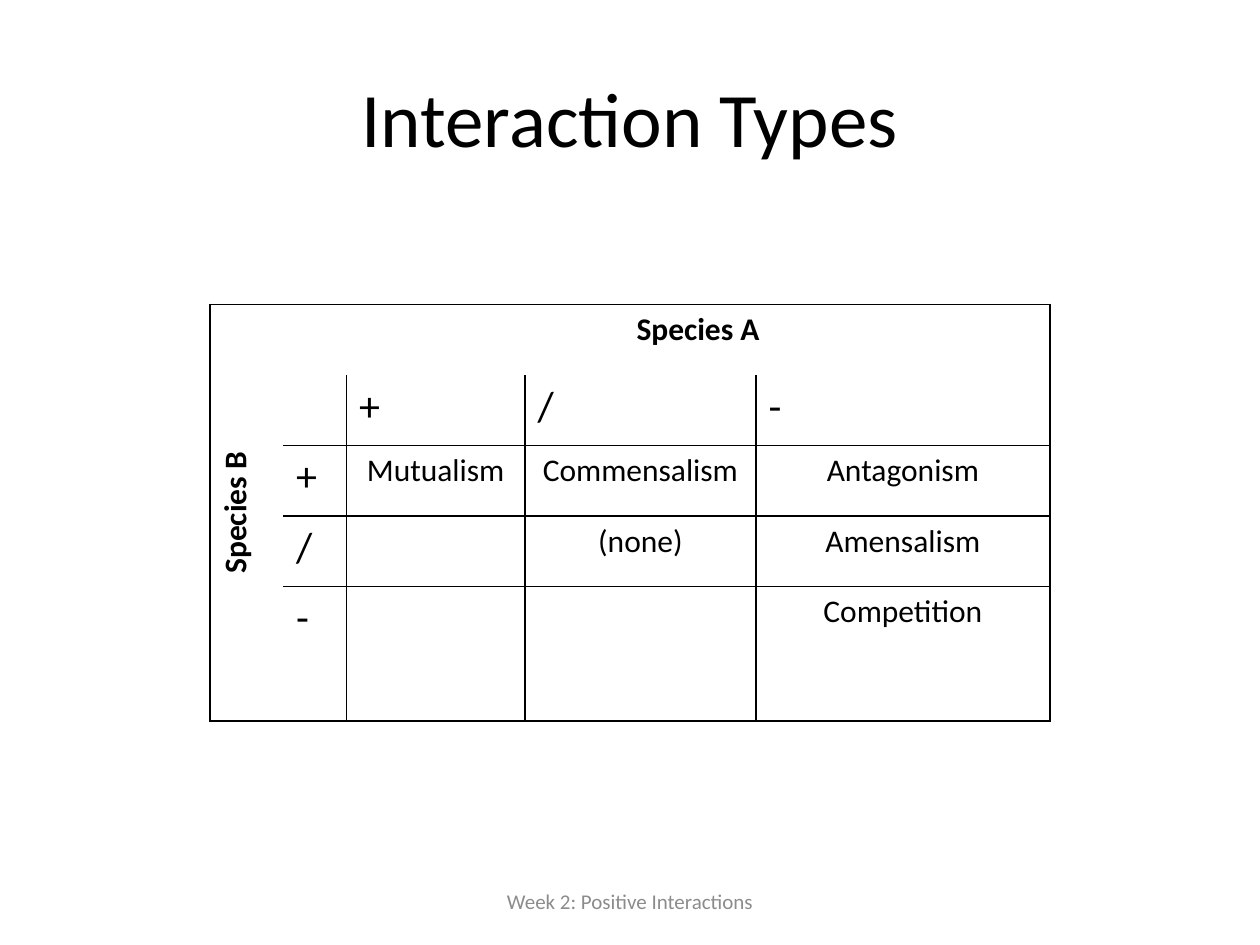
from dataclasses import dataclass

from lxml import etree
from pptx import Presentation
from pptx.dml.color import RGBColor
from pptx.enum.text import MSO_ANCHOR, PP_ALIGN
from pptx.oxml.ns import qn
from pptx.util import Pt

MIDDLE = MSO_ANCHOR.MIDDLE
LEFT, CENTER = PP_ALIGN.LEFT, PP_ALIGN.CENTER
BLACK = RGBColor(0x00, 0x00, 0x00)
GRAY = RGBColor(0x8C, 0x8C, 0x8C)
FONT = "Calibri"
COLUMN_WIDTHS = (42, 36, 102, 132, 168)
ROW_HEIGHTS = (40.3, 40.3, 40.3, 40.3, 76.8)
LAST_ROW, LAST_COLUMN = len(ROW_HEIGHTS) - 1, len(COLUMN_WIDTHS) - 1
EFFECTS = ("+", "/", "-")


@dataclass
class TextStyle:
    size: float
    alignment: PP_ALIGN = CENTER
    bold: bool = False
    color: RGBColor = BLACK


@dataclass
class Label:
    text: str
    left: float
    top: float
    width: float
    height: float
    style: TextStyle


@dataclass
class Entry:
    row: int
    column: int
    text: str
    style: TextStyle


HEADING = TextStyle(18, bold=True)
EFFECT = TextStyle(24, LEFT)
INTERACTION = TextStyle(18)

LABELS = (
    Label("Interaction Types", 36, 21.6, 648, 90, TextStyle(44)),
    Label("Week 2: Positive Interactions", 246, 500.4, 228, 28.8, TextStyle(12, color=GRAY)),
)
ENTRIES = (
    Entry(0, 0, "Species B", HEADING),
    Entry(0, 2, "Species A", HEADING),
    *(Entry(1, 2 + index, effect, EFFECT) for index, effect in enumerate(EFFECTS)),
    *(Entry(2 + index, 1, effect, EFFECT) for index, effect in enumerate(EFFECTS)),
    Entry(2, 2, "Mutualism", INTERACTION),
    Entry(2, 3, "Commensalism", INTERACTION),
    Entry(2, 4, "Antagonism", INTERACTION),
    Entry(3, 3, "(none)", INTERACTION),
    Entry(3, 4, "Amensalism", INTERACTION),
    Entry(4, 4, "Competition", INTERACTION),
)


def write_text(text_frame, text: str, style: TextStyle) -> None:
    text_frame.text = text
    paragraph = text_frame.paragraphs[0]
    paragraph.alignment = style.alignment
    font = paragraph.runs[0].font
    font.name, font.size, font.bold = FONT, Pt(style.size), style.bold
    font.color.rgb = style.color


def add_label(slide, label: Label) -> None:
    shape = slide.shapes.add_textbox(
        Pt(label.left), Pt(label.top), Pt(label.width), Pt(label.height))
    shape.text_frame.word_wrap = True
    shape.text_frame.vertical_anchor = MIDDLE
    write_text(shape.text_frame, label.text, label.style)


def set_borders(cell, row: int, column: int) -> None:
    """Rule the outer frame and the inner grid, leaving the species headings open."""
    right = column + cell.span_width - 1
    bottom = row + cell.span_height - 1
    edges = {
        "a:lnL": column == 0 or (column >= 2 and row >= 1),
        "a:lnR": right == LAST_COLUMN or (column >= 1 and row >= 1),
        "a:lnT": row == 0 or (row >= 2 and column >= 1),
        "a:lnB": bottom == LAST_ROW or (row >= 1 and column >= 1),
    }
    properties = cell._tc.get_or_add_tcPr()
    for position, (tag, visible) in enumerate(edges.items()):
        line = etree.Element(qn(tag), w=str(Pt(1)))
        if visible:
            fill = etree.SubElement(line, qn("a:solidFill"))
            etree.SubElement(fill, qn("a:srgbClr"), val=str(BLACK))
        else:
            etree.SubElement(line, qn("a:noFill"))
        properties.insert(position, line)


def add_interaction_table(slide) -> None:
    table = slide.shapes.add_table(
        len(ROW_HEIGHTS), len(COLUMN_WIDTHS), Pt(120), Pt(174),
        Pt(sum(COLUMN_WIDTHS)), Pt(sum(ROW_HEIGHTS))).table
    table.first_row = table.horz_banding = False
    for column, width in zip(table.columns, COLUMN_WIDTHS):
        column.width = Pt(width)
    for row, height in zip(table.rows, ROW_HEIGHTS):
        row.height = Pt(height)

    species_b = table.cell(0, 0)
    species_b.merge(table.cell(LAST_ROW, 0))
    species_b._tc.get_or_add_tcPr().set("vert", "vert270")
    table.cell(0, 2).merge(table.cell(0, LAST_COLUMN))

    for row in range(len(ROW_HEIGHTS)):
        for column in range(len(COLUMN_WIDTHS)):
            cell = table.cell(row, column)
            cell.fill.background()
            set_borders(cell, row, column)
    for entry in ENTRIES:
        write_text(table.cell(entry.row, entry.column).text_frame, entry.text, entry.style)


def main() -> None:
    presentation = Presentation()
    presentation.slide_width, presentation.slide_height = Pt(720), Pt(540)
    slide = presentation.slides.add_slide(presentation.slide_layouts[6])
    for label in LABELS:
        add_label(slide, label)
    add_interaction_table(slide)
    presentation.save("out.pptx")


if __name__ == "__main__":
    main()
